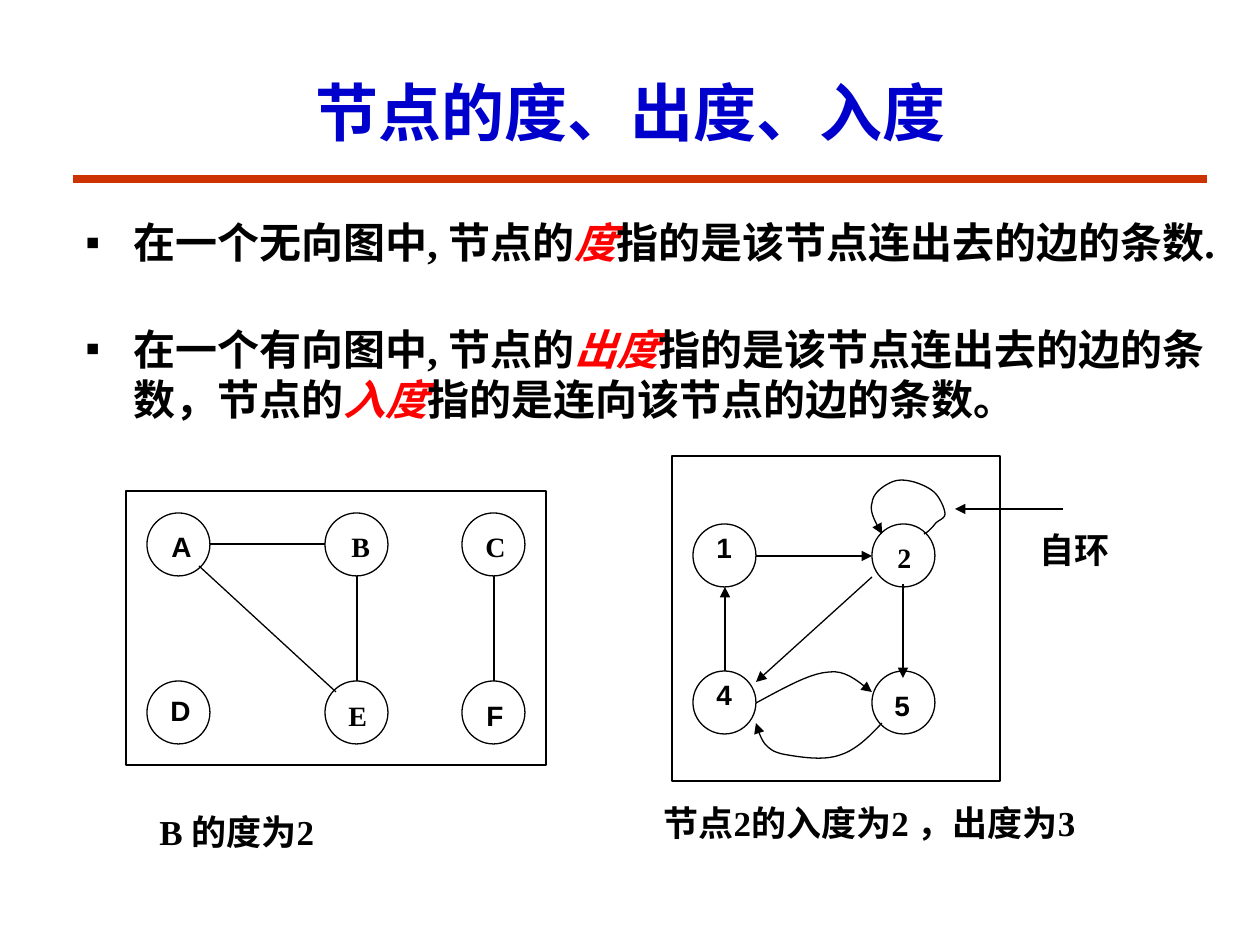
"""Build the slide on degree, out-degree and in-degree of graph nodes."""
from dataclasses import dataclass
from typing import NamedTuple

from lxml import etree
from pptx import Presentation
from pptx import util as u
from pptx.dml.color import RGBColor
from pptx.enum import shapes, text
from pptx.oxml.ns import qn

EMU_PER_PX = 914400 / 126
NODE_SIZE = 63
CURVE_STEPS = 10


@dataclass(frozen=True)
class Theme:
    ink: str = "000000"
    title: str = "0000CC"
    accent: str = "FF0000"
    rule: str = "CC3300"
    serif: str = "Times New Roman"
    sans: str = "Arial"
    title_size: int = 36
    body_size: int = 24
    caption_size: int = 20
    node_size: int = 16
    line_width: float = 0.75
    rule_width: float = 4.5


THEME = Theme()


class Box(NamedTuple):
    left: int
    top: int
    width: int
    height: int


class Node(NamedTuple):
    label: str
    left: int
    top: int
    label_left: int
    label_top: int
    font: str = THEME.sans


class Edge(NamedTuple):
    start: tuple[int, int]
    end: tuple[int, int]
    arrow: bool = False


class Words(NamedTuple):
    text: str
    emphasis: bool = False


class Caption(NamedTuple):
    text: str
    box: Box


class Bullet(NamedTuple):
    box: Box
    words: list[Words]


FRAMES = [Box(126, 491, 420, 274), Box(672, 456, 328, 325)]
NODES = [
    Node("A", 147, 513, 159, 523),
    Node("B", 325, 513, 339, 523, THEME.serif),
    Node("C", 462, 513, 473, 523, THEME.serif),
    Node("D", 147, 681, 158, 687),
    Node("E", 325, 681, 336, 692, THEME.serif),
    Node("F", 462, 681, 474, 692),
    Node("1", 693, 524, 704, 524),
    Node("2", 872, 524, 885, 534, THEME.serif),
    Node("4", 693, 671, 704, 671),
    Node("5", 872, 671, 882, 682),
]
EDGES = [
    Edge((199, 566), (336, 692)),
    Edge((210, 544), (325, 544)),
    Edge((357, 681), (357, 576)),
    Edge((494, 681), (494, 576)),
    Edge((725, 671), (725, 587), True),
    Edge((756, 556), (872, 556), True),
    Edge((872, 577), (756, 682), True),
    Edge((903, 584), (903, 678), True),
    Edge((1063, 509), (955, 509), True),
]
CURVES = [
    [(924, 534), (927, 533), (932, 528), (935, 524), (938, 520), (945, 519), (945, 514),
     (945, 509), (940, 498), (935, 493), (930, 488), (921, 484), (914, 482),
     (906, 480), (899, 479), (892, 482), (885, 485), (873, 492), (872, 503),
     (869, 512), (876, 523), (882, 534)],
    [(756, 703), (784, 688), (810, 673), (829, 672), (848, 669), (864, 687), (872, 692)],
    [(882, 723), (869, 737), (856, 750), (840, 755), (824, 761), (800, 757), (788, 755),
     (775, 753), (771, 750), (766, 745), (761, 740), (757, 727), (756, 723)],
]
CAPTIONS = [
    Caption("B 的度为2", Box(147, 804, 183, 55)),
    Caption("节点2的入度为2 ，出度为3", Box(651, 795, 445, 55)),
    Caption("自环", Box(1027, 522, 97, 55)),
]
BULLETS = [
    Bullet(Box(73, 189, 1144, 105), [
        Words("在一个无向图中, 节点的"), Words("度", True),
        Words("指的是该节点连出去的边的条数.")]),
    Bullet(Box(73, 296, 1144, 155), [
        Words("在一个有向图中, 节点的"), Words("出度", True),
        Words("指的是该节点连出去的边的条数，节点的"), Words("入度", True),
        Words("指的是连向该节点的边的条数。")]),
]


def px(value: float) -> int:
    """Turn px into EMU."""
    return round(value * EMU_PER_PX)


def add_run(paragraph, words: str, size: int, font: str = THEME.serif,
            color: str = THEME.ink, italic: bool = False) -> None:
    """Add one bold run to a paragraph."""
    run = paragraph.add_run()
    run.text = words
    run.font.name, run.font.size = font, u.Pt(size)
    run.font.bold, run.font.italic = True, italic
    run.font.color.rgb = RGBColor.from_string(color)


def add_text(slide, box: Box, wrap: bool = True):
    """Add a text box and return its frame."""
    frame = slide.shapes.add_textbox(*map(px, box)).text_frame
    frame.word_wrap = wrap
    return frame


def style_line(shape, color: str = THEME.ink, width: float = THEME.line_width,
               arrow: bool = False) -> None:
    """Set the outline, with an arrowhead at its end if asked."""
    shape.line.color.rgb = RGBColor.from_string(color)
    shape.line.width = u.Pt(width)
    if arrow:
        outline = shape._element.spPr.find(qn("a:ln"))
        etree.SubElement(outline, qn("a:tailEnd"), type="triangle")


def add_outline(slide, kind, box: Box) -> None:
    """Add an unfilled preset shape."""
    shape = slide.shapes.add_shape(kind, *map(px, box))
    shape.shadow.inherit = False
    shape.fill.background()
    style_line(shape)


def add_edge(slide, edge: Edge, color: str = THEME.ink, width: float = THEME.line_width) -> None:
    """Add a straight connector."""
    connector = slide.shapes.add_connector(
        shapes.MSO_CONNECTOR.STRAIGHT, *map(px, edge.start + edge.end))
    style_line(connector, color, width, edge.arrow)
    etree.SubElement(connector._element.spPr, qn("a:effectLst"))


def curve_points(knots: list[tuple[int, int]]) -> list[tuple[int, int]]:
    """Sample a chain of cubic Bézier segments in EMU."""
    points = []
    for first in range(0, len(knots) - 1, 3):
        for step in range(1, CURVE_STEPS + 1):
            t = step / CURVE_STEPS
            weights = ((1 - t) ** 3, 3 * t * (1 - t) ** 2, 3 * t * t * (1 - t), t ** 3)
            segment = zip(*knots[first:first + 4])
            points.append(tuple(px(sum(w * c for w, c in zip(weights, axis))) for axis in segment))
    return points


def add_curve(slide, knots: list[tuple[int, int]]) -> None:
    """Add an open curve with an arrowhead at its end."""
    builder = slide.shapes.build_freeform(*map(px, knots[0]))
    builder.add_line_segments(curve_points(knots), close=False)
    shape = builder.convert_to_shape()
    shape.shadow.inherit = False
    shape.fill.background()
    style_line(shape, arrow=True)


def add_node(slide, node: Node) -> None:
    """Add a graph node with its label."""
    add_outline(slide, shapes.MSO_SHAPE.OVAL, Box(node.left, node.top, NODE_SIZE, NODE_SIZE))
    frame = add_text(slide, Box(node.label_left, node.label_top, 43, 47), wrap=False)
    add_run(frame.paragraphs[0], node.label, THEME.node_size, node.font)


def add_bullet(slide, bullet: Bullet) -> None:
    """Add a bulleted definition with emphasised terms."""
    frame = add_text(slide, bullet.box)
    frame.vertical_anchor = text.MSO_ANCHOR.MIDDLE
    paragraph = frame.paragraphs[0]
    properties = paragraph._p.get_or_add_pPr()
    properties.set("marL", str(px(48)))
    properties.set("indent", str(-px(48)))
    etree.SubElement(properties, qn("a:buFont"), typeface=THEME.sans)
    etree.SubElement(properties, qn("a:buChar"), char="▪")
    for words in bullet.words:
        color = THEME.accent if words.emphasis else THEME.ink
        add_run(paragraph, words.text, THEME.body_size, color=color, italic=words.emphasis)


def add_title(slide, words: str, box: Box) -> None:
    """Place and format the title placeholder."""
    title = slide.shapes.title
    title.left, title.top, title.width, title.height = map(px, box)
    title.text_frame.vertical_anchor = text.MSO_ANCHOR.MIDDLE
    paragraph = title.text_frame.paragraphs[0]
    paragraph.alignment = text.PP_ALIGN.CENTER
    add_run(paragraph, words, THEME.title_size, color=THEME.title)


def main() -> None:
    """Build and save the slide."""
    presentation = Presentation()
    presentation.slide_width, presentation.slide_height = px(1260), px(945)
    slide = presentation.slides.add_slide(presentation.slide_layouts[5])
    add_title(slide, "节点的度、出度、入度", Box(63, 53, 1134, 116))
    add_edge(slide, Edge((73, 179), (1207, 179)), THEME.rule, THEME.rule_width)
    for bullet in BULLETS:
        add_bullet(slide, bullet)
    for frame in FRAMES:
        add_outline(slide, shapes.MSO_SHAPE.RECTANGLE, frame)
    for node in NODES:
        add_node(slide, node)
    for edge in EDGES:
        add_edge(slide, edge)
    for knots in CURVES:
        add_curve(slide, knots)
    for caption in CAPTIONS:
        add_run(add_text(slide, caption.box).paragraphs[0], caption.text, THEME.caption_size)
    presentation.save("out.pptx")


if __name__ == "__main__":
    main()
